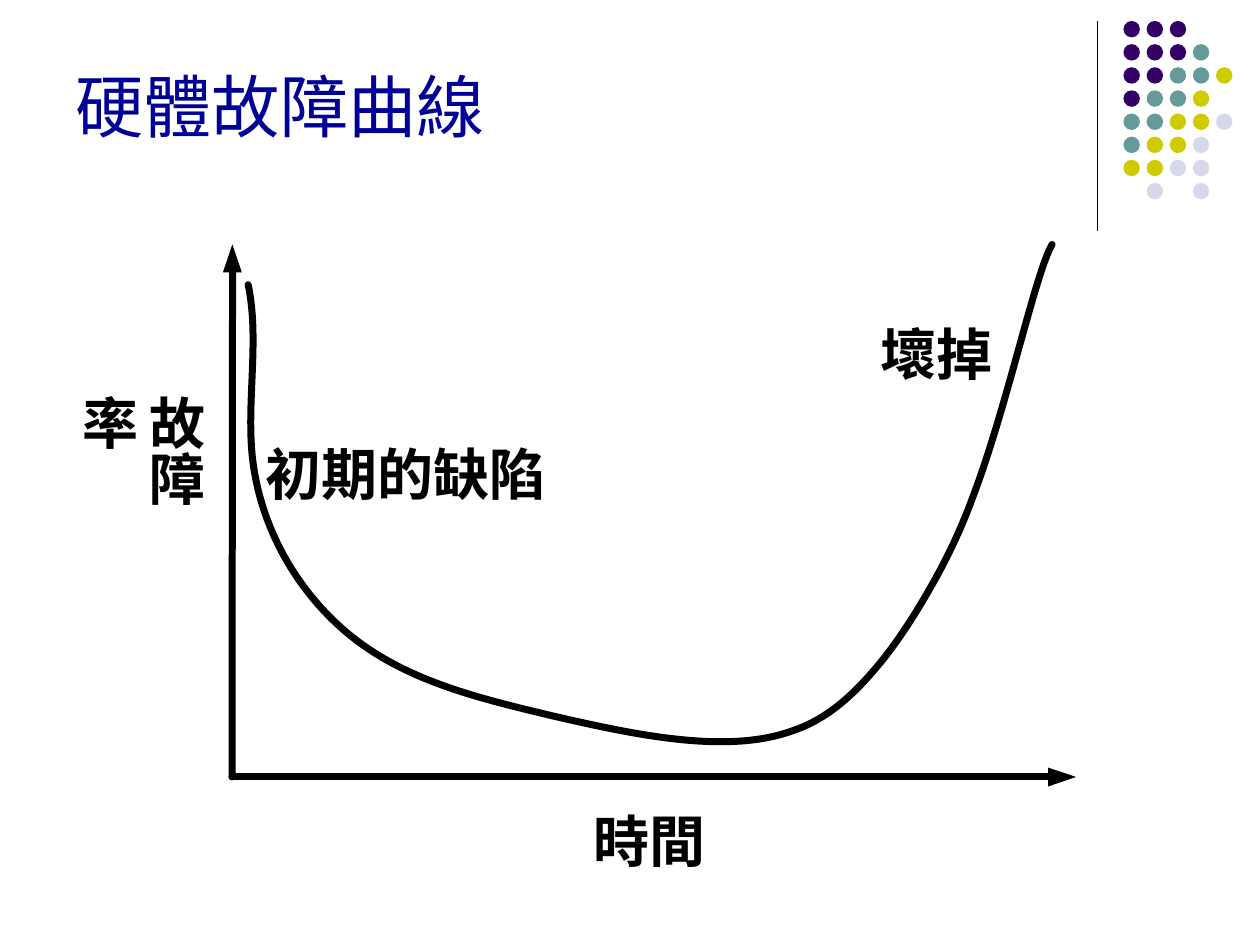
"""Build the hardware failure curve slide."""
from lxml.etree import SubElement
from pptx import Presentation
from pptx.dml.color import RGBColor
from pptx.enum.shapes import MSO_CONNECTOR, MSO_SHAPE
from pptx.enum.text import MSO_ANCHOR, MSO_AUTO_SIZE
from pptx.oxml.ns import qn
from pptx.util import Pt


def color(value):
    return RGBColor.from_string(value)


def add_text(page, text, frame, size, ink, bold=False, insets=(7.2, 3.6)):
    box = page.shapes.add_textbox(*map(Pt, frame))
    body = box.text_frame
    body.word_wrap = True
    body.margin_left = body.margin_right = Pt(insets[0])
    body.margin_top = body.margin_bottom = Pt(insets[1])
    para = body.paragraphs[0]
    span = para.add_run()
    span.text = text
    span.font.name = "Arial"
    span.font.size = Pt(size)
    span.font.bold = bold
    span.font.color.rgb = color(ink)
    return body


deck = Presentation()
deck.slide_width, deck.slide_height = Pt(720), Pt(540)
page = deck.slides.add_slide(deck.slide_layouts[6])
page.background.fill.solid()
page.background.fill.fore_color.rgb = color("FFFFFF")

dot_colors = {"P": "330066", "T": "669999", "Y": "CCCC00", "L": "D8D8EC"}
dot_rows = ["PPP", "PPPT", "PPTTY", "PTTY", "TTYYL", "TYYL", "YYLL", " L L"]
dot_pitch, dot_size = 13.22, 9.4
dots = page.shapes.add_group_shape()
for row, codes in enumerate(dot_rows):
    for column, code in enumerate(codes):
        if code == " ":
            continue
        left, top = 642 + column * dot_pitch, 12 + row * dot_pitch
        dot = dots.shapes.add_shape(
            MSO_SHAPE.OVAL, Pt(left), Pt(top), Pt(dot_size), Pt(dot_size))
        dot.shadow.inherit = False
        dot.fill.solid()
        dot.fill.fore_color.rgb = color(dot_colors[code])
        dot.line.fill.background()

title = add_text(page, "硬體故障曲線", (36, 9.4, 584.6, 101.5), 39, "000099")
title.vertical_anchor = MSO_ANCHOR.MIDDLE

divider = (627, 12.2, 627, 132, 0.75)
time_axis = (132.6, 444, 600.5, 444, 4)
rate_axis = (132.6, 444, 132.9, 154, 4)
for *ends, width in (divider, time_axis, rate_axis):
    line = page.shapes.add_connector(MSO_CONNECTOR.STRAIGHT, *map(Pt, ends))
    line.line.color.rgb = color("000000")
    line.line.width = Pt(width)
    line.line._get_or_add_ln().set("cap", "rnd" if width == 4 else "flat")
    SubElement(line._element.spPr, qn("a:effectLst"))

time_arrow = [(599, 438.6), (615, 444), (599, 449.4)]
rate_arrow = [(127.4, 155.6), (132.8, 139.7), (138.2, 155.6)]
for corners in (time_arrow, rate_arrow):
    points = [(Pt(x), Pt(y)) for x, y in corners]
    builder = page.shapes.build_freeform(*points[0])
    builder.add_line_segments(points[1:], close=True)
    arrow = builder.convert_to_shape()
    arrow.shadow.inherit = False
    arrow.fill.solid()
    arrow.fill.fore_color.rgb = color("000000")
    arrow.line.fill.background()

curve_points = [
    (141.8, 162.7),
    (148.3, 193), (141.1, 227.5), (144, 259.2),
    (148.3, 303.8), (172.8, 342.7), (204.5, 366.5),
    (235.4, 389.5), (272.9, 398.9), (315.4, 409),
    (362.2, 419.8), (415.4, 431.3), (452.9, 417.6),
    (474.5, 410.4), (490.3, 394.6), (505.4, 375.8),
    (517.7, 360), (528.5, 342), (537.8, 324.7),
    (545, 311), (550.8, 298), (556.6, 282.2),
    (576, 230.4), (591.8, 155.5), (601.2, 139.7),
]
points = [(Pt(x), Pt(y)) for x, y in curve_points]
builder = page.shapes.build_freeform(*points[0])
builder.add_line_segments(points[1:], close=False)
curve = builder.convert_to_shape()
curve.shadow.inherit = False
curve.fill.background()
curve.line.color.rgb = color("000000")
curve.line.width = Pt(4)
curve.line._get_or_add_ln().set("cap", "rnd")
outline = next(curve._element.iter(qn("a:path")))
segments = outline.findall(qn("a:lnTo"))
for first in range(0, len(segments), 3):
    bezier = SubElement(outline, qn("a:cubicBezTo"))
    for segment in segments[first:first + 3]:
        bezier.append(segment[0])
        outline.remove(segment)

labels = [
    ("時間", (332, 457.2, 79.2, 46), False),
    ("故障率", (32.4, 218.9, 90.7, 102.2), True),
    ("初期的缺陷", (144.7, 247.7, 175.7, 46), False),
    ("壞掉", (496, 179.3, 85, 46), False),
]
for text, frame, vertical in labels:
    insets = (3.6, 7.2) if vertical else (7.2, 3.6)
    label = add_text(page, text, frame, 32, "000000", True, insets)
    label.auto_size = MSO_AUTO_SIZE.SHAPE_TO_FIT_TEXT
    if vertical:
        label._txBody.bodyPr.set("vert", "eaVert")

deck.save("out.pptx")
